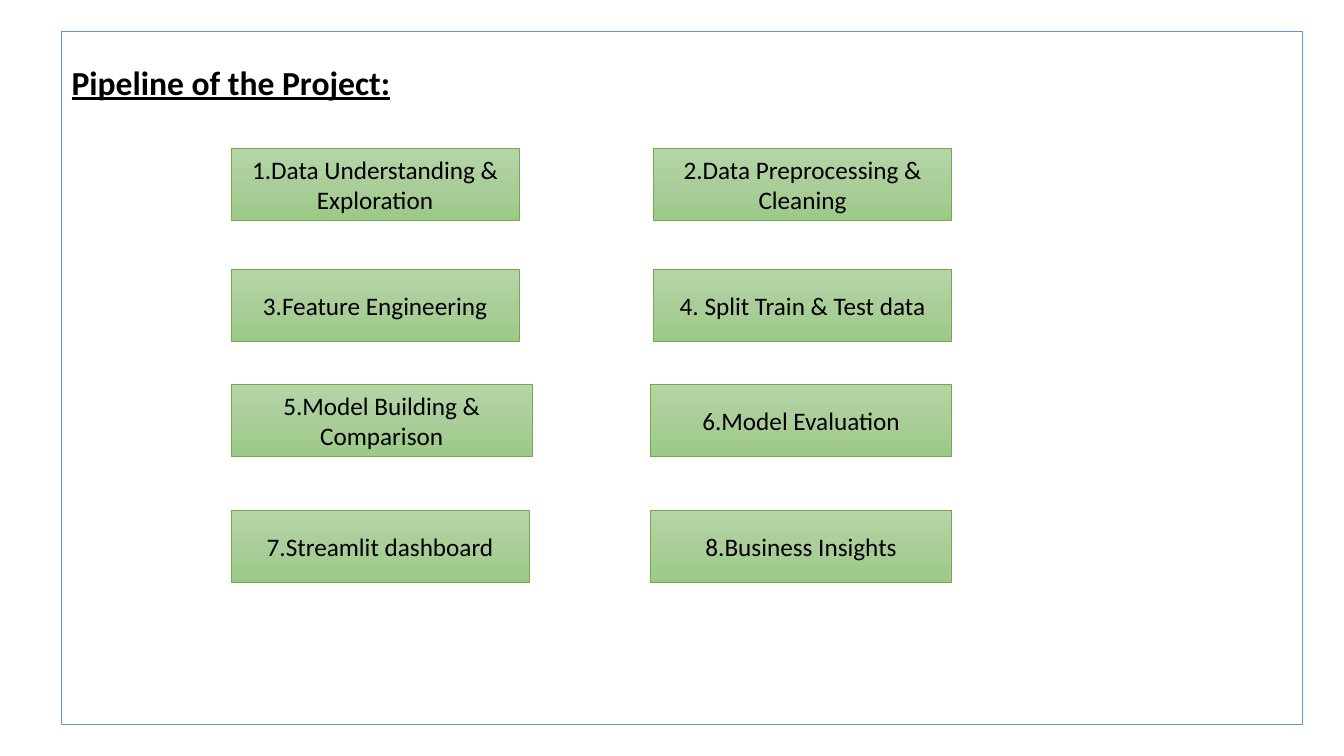
from copy import deepcopy

from pptx import Presentation
from pptx.dml.color import RGBColor
from pptx.enum.shapes import MSO_SHAPE
from pptx.enum.text import MSO_ANCHOR, MSO_AUTO_SIZE, PP_ALIGN
from pptx.oxml.ns import qn
from pptx.util import Inches, Pt

RECTANGLE = MSO_SHAPE.RECTANGLE
TOP, MIDDLE = MSO_ANCHOR.TOP, MSO_ANCHOR.MIDDLE
LEFT, CENTER = PP_ALIGN.LEFT, PP_ALIGN.CENTER
NO_AUTOFIT = MSO_AUTO_SIZE.NONE

BLACK = RGBColor(0x00, 0x00, 0x00)
WHITE = RGBColor(0xFF, 0xFF, 0xFF)
BLUE = RGBColor(0x5B, 0x9B, 0xD5)
GREEN = RGBColor(0x70, 0xAD, 0x47)
GRADIENT = [
    (0, RGBColor(0xB5, 0xD5, 0xA7)),
    (0.5, RGBColor(0xAA, 0xCE, 0x9A)),
    (1, RGBColor(0x9C, 0xC9, 0x87)),
]

TITLE_ONLY = 5
FONT = "Calibri"
FRAME = (0.61, 0.31, 12.31, 6.88)
TITLE = (0.61, 0.56, 9.36, 0.91)
STEPS = (2.29, 1.47, 7.15, 4.31)
STEP_HEIGHT = 0.72

# Each row: offset from the top of the region, then (text, width) per column
STEP_ROWS = [
    (0, ("1.Data Understanding & Exploration", 2.86),
     ("2.Data Preprocessing & Cleaning", 2.96)),
    (1.2, ("3.Feature Engineering", 2.86), ("4. Split Train & Test data", 2.96)),
    (2.34, ("5.Model Building & Comparison", 2.99), ("6.Model Evaluation", 2.99)),
    (3.59, ("7.Streamlit dashboard", 2.96), ("8.Business Insights", 2.99)),
]


def write_text(shape, text, size=18, align=CENTER, anchor=MIDDLE,
               bold=False, underline=False):
    frame = shape.text_frame
    frame.word_wrap = True
    frame.auto_size = NO_AUTOFIT
    frame.vertical_anchor = anchor
    paragraph = frame.paragraphs[0]
    paragraph.alignment = align
    run = paragraph.add_run()
    run.text = text
    font = run.font
    font.name, font.size = FONT, Pt(size)
    font.bold, font.underline = bold, underline
    font.color.rgb = BLACK


def add_rectangle(slide, box, line_color, line_width):
    shape = slide.shapes.add_shape(RECTANGLE, *map(Inches, box))
    shape.shadow.inherit = False
    shape.line.color.rgb = line_color
    shape.line.width = Pt(line_width)
    return shape


def fill_gradient(shape):
    fill = shape.fill
    fill.gradient()
    fill.gradient_angle = 270  # counter-clockwise: runs from top to bottom
    stop_list = next(shape.element.iter(qn("a:gsLst")))
    stop_list.insert(1, deepcopy(stop_list[0]))
    for stop, (position, color) in zip(fill.gradient_stops, GRADIENT):
        stop.position = position
        stop.color.rgb = color


def add_title(slide, box, text):
    title = slide.shapes.title
    title.left, title.top, title.width, title.height = map(Inches, box)
    write_text(title, text, size=24, align=LEFT, anchor=TOP,
               bold=True, underline=True)


def add_frame(slide, box):
    frame = add_rectangle(slide, box, BLUE, 1)
    frame.fill.solid()
    frame.fill.fore_color.rgb = WHITE
    # Keep the frame behind the title
    slide.shapes.title.element.addprevious(frame.element)


def add_steps(slide, box):
    left, top, width, _ = box
    for offset, *cells in STEP_ROWS:
        for column, (text, step_width) in enumerate(cells):
            # The first column is flush left, the second flush right
            step_left = left + column * (width - step_width)
            step_box = (step_left, top + offset, step_width, STEP_HEIGHT)
            step = add_rectangle(slide, step_box, GREEN, 0.5)
            fill_gradient(step)
            write_text(step, text)


def main():
    presentation = Presentation()
    presentation.slide_width = Inches(13.33)
    presentation.slide_height = Inches(7.5)
    slide = presentation.slides.add_slide(presentation.slide_layouts[TITLE_ONLY])
    add_title(slide, TITLE, "Pipeline of the Project:")
    add_frame(slide, FRAME)
    add_steps(slide, STEPS)
    presentation.save("out.pptx")


if __name__ == "__main__":
    main()
